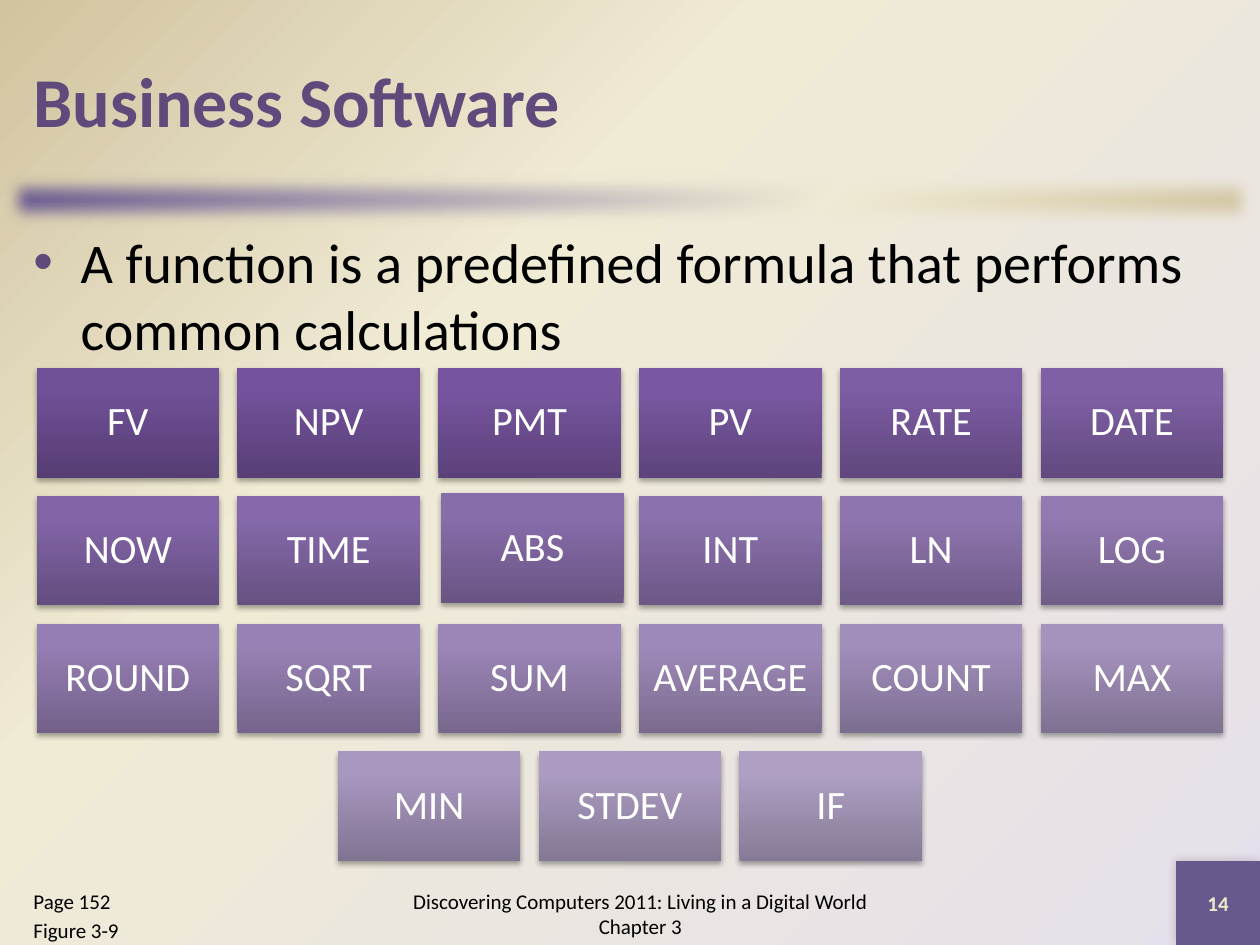
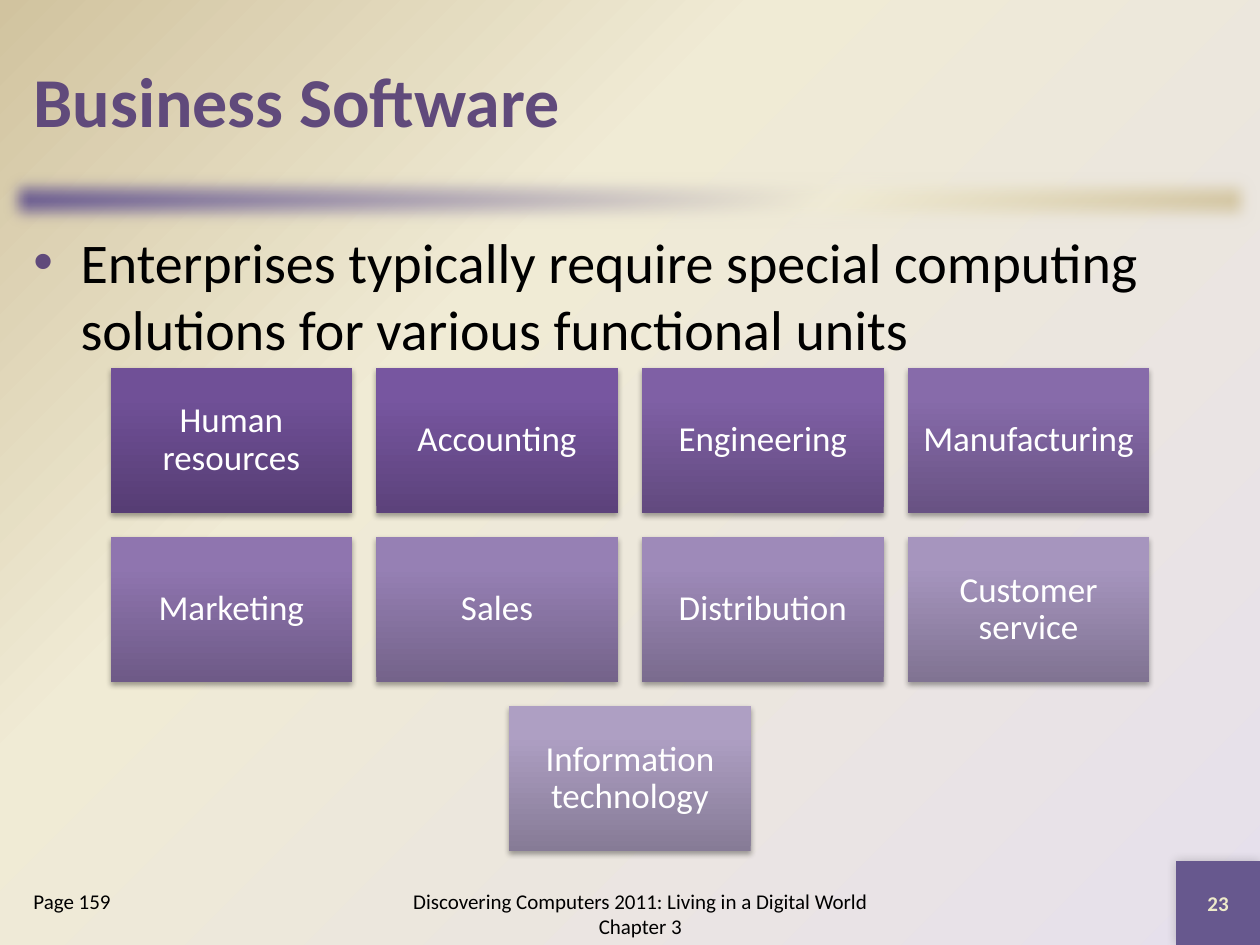
import pptx
import pptx.dml.color
import pptx.enum.shapes
import pptx.enum.text
import pptx.oxml.ns
import pptx.util
from lxml import etree

Cm = pptx.util.Cm
Pt = pptx.util.Pt
qn = pptx.oxml.ns.qn
ANCHOR = pptx.enum.text.MSO_ANCHOR
ALIGN = pptx.enum.text.PP_ALIGN

TITLE = "Business Software"
FOOTER = "Discovering Computers 2011: Living in a Digital World Chapter 3"

SLIDES = [
    {
        "bullet": "A function is a predefined formula that performs common calculations",
        "notes": ["Page 152", "Figure 3-9"],
        "number": "14",
        "columns": 6,
        "box_width": 3.68,
        "inset": 0.25,
        "size": 23,
        "boxes": ["FV", "NPV", "PMT", "PV", "RATE", "DATE",
                  "NOW", "TIME", "ABS", "INT", "LN", "LOG",
                  "ROUND", "SQRT", "SUM", "AVERAGE", "COUNT", "MAX",
                  "MIN", "STDEV", "IF"],
        "nudges": {"ABS": (0.06, -0.05)},
    },
    {
        "bullet": "Enterprises typically require special computing solutions "
                  "for various functional units",
        "notes": ["Page 159"],
        "number": "23",
        "columns": 4,
        "box_width": 4.87,
        "inset": 0.2,
        "size": 20,
        "boxes": ["Human resources", "Accounting", "Engineering", "Manufacturing",
                  "Marketing", "Sales", "Distribution", "Customer service",
                  "Information technology"],
        "nudges": {},
    },
]

FONT = "Calibri"
COLORS = {
    "title": "604A7B",
    "text": "000000",
    "box_text": "FFFFFF",
    "number": "EEEBCA",
    "accent": "67588E",
    "lavender": "E6E0EC",
    "cream": "F0EBD5",
    "sand": "D1C39F",
    "shadow": "000000",
}
BOX_SHADES = [
    (0, ("563D74", "705097", "704F99")),
    (0.125, ("5C427B", "7756A0", "7755A2")),
    (1, ("867B96", "AE9FC3", "AE9FC4")),
]
BOX_STOPS = (0, 80, 100)
SLIDE_WIDTH, SLIDE_HEIGHT = 25.4, 19.05
GRID_TOP = 7.42
GAP_RATIO, HEIGHT_RATIO = 0.1, 0.6
TITLE_AREA = (0.42, 0.42, 24.56, 3.18)
BODY_AREA = (0.42, 4.45, 24.56, 12.9)
NOTES_AREA = (0.42, 17.78, 4.66, 1.27)
FOOTER_AREA = (7.62, 17.78, 10.58, 1.27)
BAND_AREA = (0, 3.39, SLIDE_WIDTH, 1.27)
NUMBER_AREA = (23.71, 17.36, 1.69, 1.69)


def rgb(color):
    return pptx.dml.color.RGBColor.from_string(color)


def add_child(parent, tag, **attributes):
    return etree.SubElement(parent, qn(tag), {k: str(v) for k, v in attributes.items()})


def place(shape, area):
    shape.left, shape.top, shape.width, shape.height = map(Cm, area)


def mix(start, end, share):
    pairs = zip(bytes.fromhex(start), bytes.fromhex(end))
    return "".join(f"{round(a + (b - a) * share):02X}" for a, b in pairs)


def box_gradient(position):
    for (low, starts), (high, ends) in zip(BOX_SHADES, BOX_SHADES[1:]):
        if position <= high:
            share = (position - low) / (high - low)
            shades = [mix(start, end, share) for start, end in zip(starts, ends)]
            return list(zip(BOX_STOPS, shades))


def set_gradient(fill, element, stops, angle=None):
    fill.gradient()
    gradient = element.find(".//" + qn("a:gradFill"))
    gradient.clear()
    gradient.set("rotWithShape", "1")
    stop_list = add_child(gradient, "a:gsLst")
    for position, color in stops:
        add_child(add_child(stop_list, "a:gs", pos=position * 1000), "a:srgbClr", val=color)
    if angle is None:
        circle = add_child(gradient, "a:path", path="circle")
        add_child(circle, "a:fillToRect", l=100000, t=100000)
    else:
        add_child(gradient, "a:lin", ang=angle * 60000, scaled=0)


def theme_stops(first):
    return [(0, COLORS[first]), (65, COLORS["cream"]), (100, COLORS["sand"])]


def add_effect(shape, tag, **attributes):
    return add_child(shape.element.find(".//" + qn("a:effectLst")), tag, **attributes)


def add_shadow(shape, opacity, blur, distance, direction):
    shadow = add_effect(shape, "a:outerShdw", blurRad=Pt(blur), dist=Pt(distance),
                        dir=direction * 60000, algn="ctr", rotWithShape=0)
    color = add_child(shadow, "a:srgbClr", val=COLORS["shadow"])
    add_child(color, "a:alpha", val=opacity * 1000)


def add_rectangle(slide, area):
    shape = slide.shapes.add_shape(pptx.enum.shapes.MSO_SHAPE.RECTANGLE, *map(Cm, area))
    shape.line.fill.background()
    shape.shadow.inherit = False
    return shape


def add_text(paragraph, text, size, color, bold=False, align=ALIGN.LEFT):
    paragraph.alignment = align
    run = paragraph.add_run()
    run.text = text
    run.font.name = FONT
    run.font.size = Pt(size)
    run.font.bold = bold
    run.font.color.rgb = rgb(COLORS[color])


def prepare_frame(shape, anchor, inset=None):
    frame = shape.text_frame
    frame.word_wrap = True
    frame.auto_size = pptx.enum.text.MSO_AUTO_SIZE.NONE
    frame.vertical_anchor = anchor
    if inset is not None:
        frame.margin_left = frame.margin_right = Cm(inset)
        frame.margin_top = frame.margin_bottom = Cm(inset)
    return frame


def set_bullet(paragraph, bullet):
    properties = paragraph._p.get_or_add_pPr()
    properties.set("marL", str(Cm(0.95)))
    properties.set("indent", str(-Cm(0.95)))
    if bullet:
        add_child(add_child(properties, "a:buClr"), "a:srgbClr", val=COLORS["title"])
        add_child(properties, "a:buFont", typeface="Arial")
        add_child(properties, "a:buChar", char=bullet)
    else:
        add_child(properties, "a:buNone")


def fill_list(placeholder, area, lines, size, bullet=None):
    place(placeholder, area)
    frame = prepare_frame(placeholder, ANCHOR.TOP)
    for index, line in enumerate(lines):
        paragraph = frame.add_paragraph() if index else frame.paragraphs[0]
        set_bullet(paragraph, bullet)
        paragraph.space_before = Pt(0.2 * size if index else 0)
        add_text(paragraph, line, size, "text")


def add_frame(slide, number):
    band = add_rectangle(slide, BAND_AREA)
    set_gradient(band.fill, band.element, theme_stops("accent"), 45)
    add_effect(band, "a:softEdge", rad=Pt(10))

    square = add_rectangle(slide, NUMBER_AREA)
    square.fill.solid()
    square.fill.fore_color.rgb = rgb(COLORS["accent"])
    add_shadow(square, 20, 6, 0, 225)
    frame = prepare_frame(square, ANCHOR.MIDDLE)
    add_text(frame.paragraphs[0], number, 12, "number", True, ALIGN.CENTER)

    footer = slide.shapes.add_textbox(*map(Cm, FOOTER_AREA))
    frame = prepare_frame(footer, ANCHOR.MIDDLE)
    add_text(frame.paragraphs[0], FOOTER, 12, "text", align=ALIGN.CENTER)


def add_box_grid(slide, content):
    boxes, columns, width = content["boxes"], content["columns"], content["box_width"]
    gap, height = width * GAP_RATIO, width * HEIGHT_RATIO
    for index, label in enumerate(boxes):
        row, column = divmod(index, columns)
        row_length = min(columns, len(boxes) - row * columns)
        row_left = (SLIDE_WIDTH - row_length * width - (row_length - 1) * gap) / 2
        shift_x, shift_y = content["nudges"].get(label, (0, 0))
        left = row_left + column * (width + gap) + shift_x
        top = GRID_TOP + row * (height + gap) + shift_y
        box = add_rectangle(slide, (left, top, width, height))
        set_gradient(box.fill, box.element, box_gradient(index / (len(boxes) - 1)), 270)
        add_shadow(box, 35, 3.15, 1.8, 90)
        paragraph = prepare_frame(box, ANCHOR.MIDDLE, content["inset"]).paragraphs[0]
        paragraph.line_spacing = 0.9
        add_text(paragraph, label, content["size"], "box_text", align=ALIGN.CENTER)


def add_slide(presentation, content):
    slide = presentation.slides.add_slide(presentation.slide_layouts.get_by_name("Two Content"))
    title, body, notes = slide.placeholders
    place(title, TITLE_AREA)
    frame = prepare_frame(title, ANCHOR.MIDDLE)
    add_text(frame.paragraphs[0], TITLE, 40, "title", True)
    fill_list(body, BODY_AREA, [content["bullet"]], 32, "•")
    fill_list(notes, NOTES_AREA, content["notes"], 12)
    add_frame(slide, content["number"])
    add_box_grid(slide, content)


def main():
    presentation = pptx.Presentation()
    presentation.slide_width = Cm(SLIDE_WIDTH)
    presentation.slide_height = Cm(SLIDE_HEIGHT)
    master = presentation.slide_master
    set_gradient(master.background.fill, master.element, theme_stops("lavender"))
    for content in SLIDES:
        add_slide(presentation, content)
    presentation.save("out.pptx")


if __name__ == "__main__":
    main()
